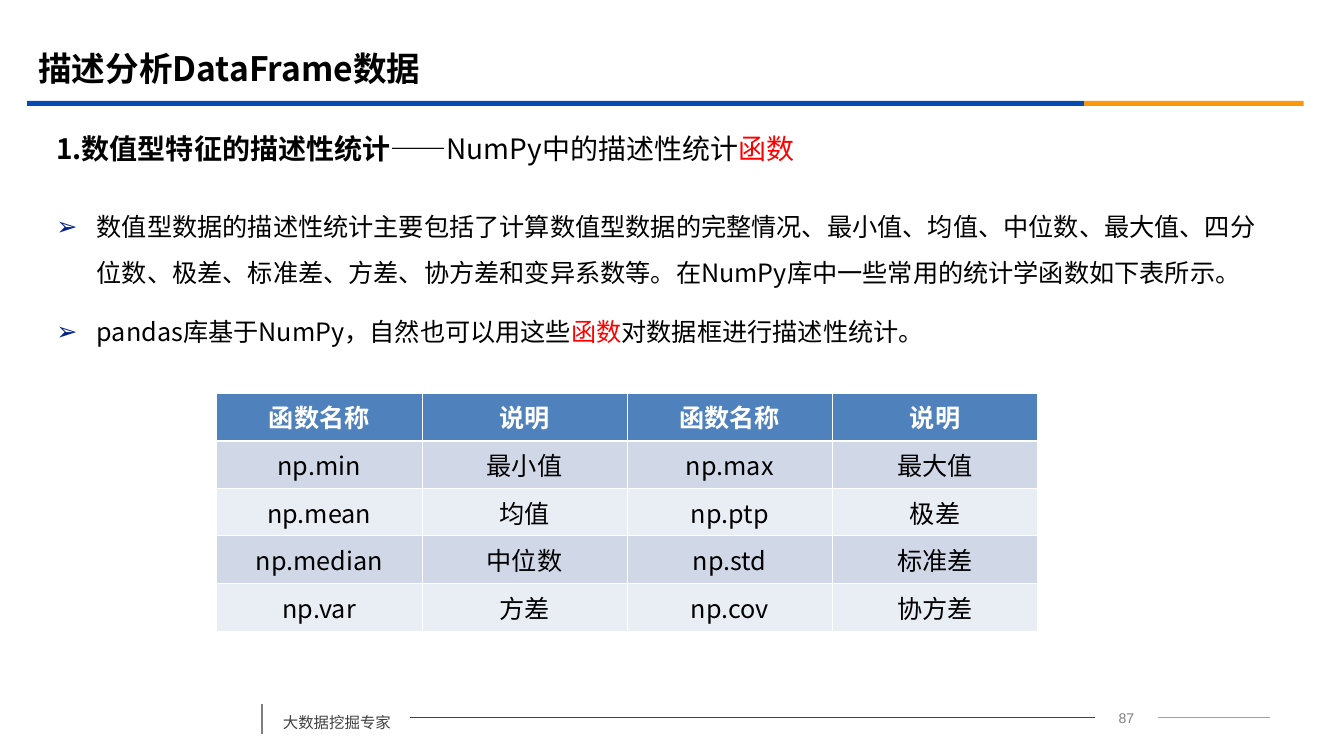
from dataclasses import dataclass
from typing import Optional

from lxml import etree
from pptx import Presentation
from pptx.dml.color import RGBColor
from pptx.enum import shapes, text
from pptx.oxml import ns
from pptx.util import Emu, Inches, Pt

CJK = "Noto Sans CJK SC"
BLACK, WHITE, RED, GREY = "000000", "FFFFFF", "FF0000", "7F7F7F"
BLUE, ORANGE = "064BB2", "F19500"


@dataclass
class Run:
    text: str
    color: str = BLACK
    bold: bool = False


@dataclass
class Bar:
    left: float
    width: float
    color: str


@dataclass
class Rule:
    start: tuple[float, float]
    end: tuple[float, float]
    color: str
    weight: float = 0.75
    begin: Optional[str] = None
    finish: Optional[str] = None


BARS = [Bar(0.27, 10.49, BLUE), Bar(10.76, 2.18, "FB9708")]
RULES = [
    Rule((2.6, 6.98), (2.6, 7.28), GREY, 1.25),
    Rule((4.07, 7.12), (10.87, 7.12), BLUE, begin="footer", finish="page"),
    Rule((11.49, 7.12), (12.61, 7.12), ORANGE, begin="page"),
]
BULLETS = [
    [Run("数值型数据的描述性统计主要包括了计算数值型数据的完整情况、最小值、均值、中位数、最大值、"
         "四分位数、极差、标准差、方差、协方差和变异系数等。在NumPy库中一些常用的统计学函数如下表所示。")],
    [Run("pandas库基于NumPy，自然也可以用这些"), Run("函数", RED),
     Run("对数据框进行描述性统计。")],
]
FUNCTIONS = [
    ["函数名称", "说明", "函数名称", "说明"],
    ["np.min", "最小值", "np.max", "最大值"],
    ["np.mean", "均值", "np.ptp", "极差"],
    ["np.median", "中位数", "np.std", "标准差"],
    ["np.var", "方差", "np.cov", "协方差"],
]


def rgb(value: str) -> RGBColor:
    return RGBColor.from_string(value)


def add_runs(p, runs: list[Run], size: float, font: str = CJK) -> None:
    for run in runs:
        r = p.add_run()
        r.text = run.text
        r.font.size, r.font.bold, r.font.name = Pt(size), run.bold, font
        r.font.color.rgb = rgb(run.color)
        ea = etree.SubElement(r.font._element, ns.qn("a:ea"))
        ea.set("typeface", font)


def place(sp, left: float, top: float, width: float, height: float):
    sp.left, sp.top = Inches(left), Inches(top)
    sp.width, sp.height = Inches(width), Inches(height)
    tf = sp.text_frame
    tf.word_wrap, tf.auto_size = True, text.MSO_AUTO_SIZE.NONE
    return tf


def add_text(s, box: tuple[float, float, float, float]):
    sp = s.shapes.add_textbox(*map(Inches, box))
    return sp, place(sp, *box)


def set_bullet(p, char: str, color: str) -> None:
    pPr = p._p.get_or_add_pPr()
    pPr.set("marL", str(Inches(0.4)))
    pPr.set("indent", str(-Inches(0.4)))
    bu_color = etree.SubElement(pPr, ns.qn("a:buClr"))
    etree.SubElement(bu_color, ns.qn("a:srgbClr")).set("val", color)
    etree.SubElement(pPr, ns.qn("a:buChar")).set("char", char)


def set_border(cell, side: str, weight: float) -> None:
    ln = etree.Element(ns.qn(f"a:ln{side}"), w=str(Pt(weight)))
    fill = etree.SubElement(ln, ns.qn("a:solidFill"))
    etree.SubElement(fill, ns.qn("a:srgbClr")).set("val", WHITE)
    tcPr = cell._tc.get_or_add_tcPr()
    tcPr.insert("LRTB".index(side), ln)


def add_bar(s, bar: Bar) -> None:
    sp = s.shapes.add_shape(shapes.MSO_SHAPE.RECTANGLE, Inches(bar.left), Inches(1),
                            Inches(bar.width), Inches(0.05))
    sp.shadow.inherit = False
    sp.fill.solid()
    sp.fill.fore_color.rgb = rgb(bar.color)
    sp.line.fill.background()


def add_rule(s, rule: Rule, boxes: dict) -> None:
    line = s.shapes.add_connector(shapes.MSO_CONNECTOR.STRAIGHT,
                                  *map(Inches, rule.start + rule.end))
    line.line.color.rgb, line.line.width = rgb(rule.color), Pt(rule.weight)
    etree.SubElement(line._element.spPr, ns.qn("a:effectLst"))
    if rule.begin:
        line.begin_connect(boxes[rule.begin], 3)
    if rule.finish:
        line.end_connect(boxes[rule.finish], 1)


def add_function_table(s) -> None:
    rows, cols = len(FUNCTIONS), len(FUNCTIONS[0])
    width, height = Inches(8.15), Inches(2.36)
    table = s.shapes.add_table(rows, cols, Inches(2.15), Inches(3.9), width, height).table
    for col in table.columns:
        col.width = Emu(width // cols)
    for i, words in enumerate(FUNCTIONS):
        table.rows[i].height = Emu(height // rows)
        header = i == 0
        fill = "4F81BD" if header else ("E9EDF4", "D0D8E8")[i % 2]
        for j, word in enumerate(words):
            cell = table.cell(i, j)
            cell.fill.solid()
            cell.fill.fore_color.rgb = rgb(fill)
            cell.vertical_anchor = text.MSO_ANCHOR.MIDDLE
            cell.margin_left = cell.margin_right = Inches(0.06)
            p = cell.text_frame.paragraphs[0]
            p.alignment = text.PP_ALIGN.CENTER
            add_runs(p, [Run(word, WHITE if header else BLACK, header)], 18)
            for side in "LRTB":
                under_header = (i, side) in ((0, "B"), (1, "T"))
                set_border(cell, side, 1.5 if under_header else 0.45)


def main() -> None:
    prs = Presentation()
    prs.slide_width, prs.slide_height = Inches(13.34), Inches(7.5)
    s = prs.slides.add_slide(prs.slide_layouts[1])
    for sp in s.placeholders:
        if sp.placeholder_format.idx not in (0, 1):
            sp._element.getparent().remove(sp._element)

    # Title and its two-colour underline
    tf = place(s.shapes.title, 0.28, 0.39, 12, 0.58)
    tf.vertical_anchor = text.MSO_ANCHOR.MIDDLE
    tf.paragraphs[0].alignment = text.PP_ALIGN.LEFT
    add_runs(tf.paragraphs[0], [Run("描述分析DataFrame数据", bold=True)], 24)
    for bar in BARS:
        add_bar(s, bar)

    # Section heading
    _, tf = add_text(s, (0.46, 1.24, 12.15, 0.47))
    tf.vertical_anchor = text.MSO_ANCHOR.MIDDLE
    add_runs(tf.paragraphs[0], [Run("1.数值型特征的描述性统计", bold=True),
                                Run("——NumPy中的描述性统计"), Run("函数", RED)], 20)

    # Bulleted explanation
    tf = place(s.placeholders[1], 0.46, 1.9, 12.15, 1.8)
    for i, runs in enumerate(BULLETS):
        p = tf.add_paragraph() if i else tf.paragraphs[0]
        set_bullet(p, "➢", "032089")
        p.line_spacing, p.space_before = 1.5, Pt(10 if i else 0)
        add_runs(p, runs, 18)

    # Table of NumPy functions
    add_function_table(s)

    # Footer: tagline, page number and rules
    footer, tf = add_text(s, (2.71, 6.93, 1.36, 0.38))
    tf.paragraphs[0].line_spacing = 1.5
    add_runs(tf.paragraphs[0], [Run("大数据挖掘专家", "404040")], 11)
    page, tf = add_text(s, (10.87, 6.99, 0.62, 0.26))
    tf.paragraphs[0].alignment = text.PP_ALIGN.CENTER
    add_runs(tf.paragraphs[0], [Run("87", GREY)], 10, "Arial")
    for rule in RULES:
        add_rule(s, rule, {"footer": footer, "page": page})

    prs.save("out.pptx")


if __name__ == "__main__":
    main()
